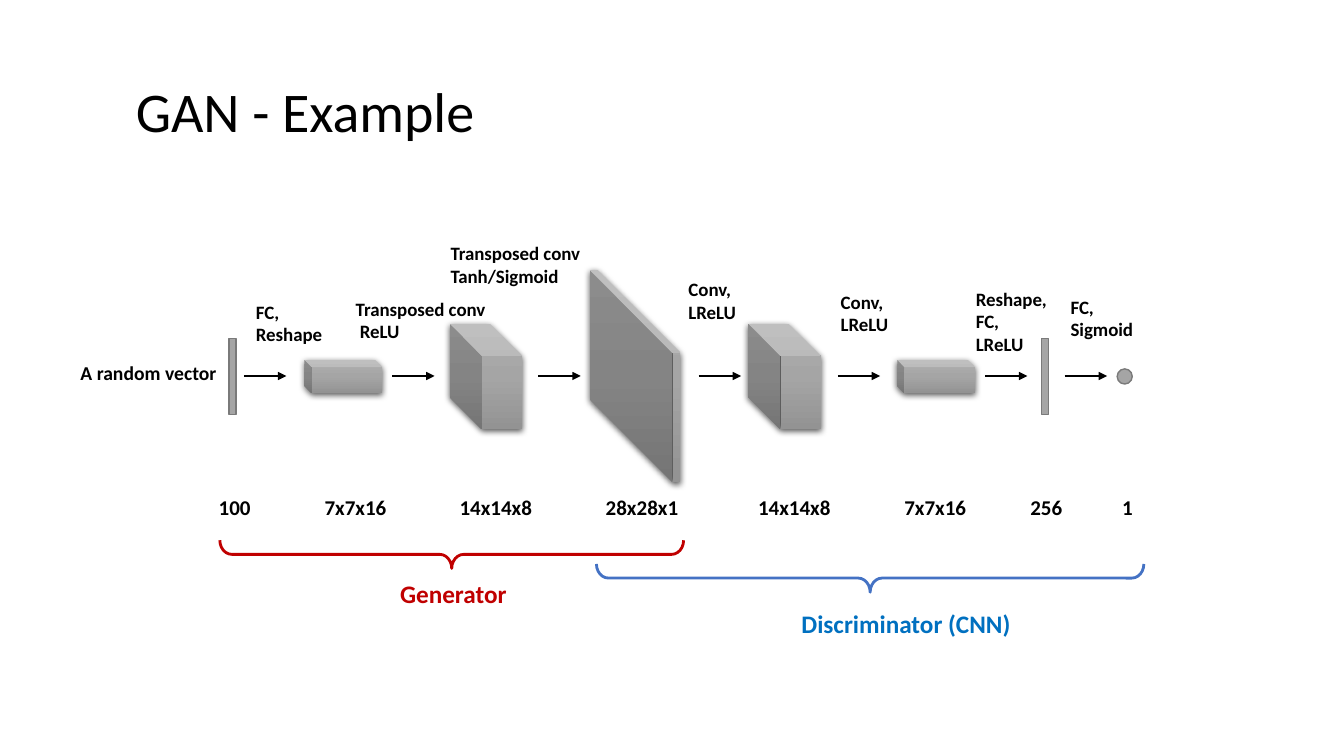
"""Build a slide that shows the layers of an example GAN."""
from pptx import Presentation
from pptx.dml.color import RGBColor
from pptx.enum.shapes import MSO_CONNECTOR, MSO_SHAPE
from pptx.enum.text import MSO_AUTO_SIZE, PP_ALIGN
from pptx.oxml import parse_xml
from pptx.oxml.ns import nsdecls
from pptx.util import Pt

PX = 9144
FONT = "Calibri"
BLACK = RGBColor(0x00, 0x00, 0x00)
GRAY = RGBColor(0xA5, 0xA5, 0xA5)
DARK_GRAY = RGBColor(0x7A, 0x7A, 0x7A)
RED = RGBColor(0xC0, 0x00, 0x00)
BLUE = RGBColor(0x00, 0x70, 0xC0)
BRACE_BLUE = RGBColor(0x44, 0x72, 0xC4)
CUBE, RECTANGLE, OVAL = MSO_SHAPE.CUBE, MSO_SHAPE.RECTANGLE, MSO_SHAPE.OVAL
RIGHT_BRACE, STRAIGHT = MSO_SHAPE.RIGHT_BRACE, MSO_CONNECTOR.STRAIGHT
LEFT, CENTER = PP_ALIGN.LEFT, PP_ALIGN.CENTER
GROW = MSO_AUTO_SIZE.SHAPE_TO_FIT_TEXT

AXIS = 373
ARROW_LENGTH = 42
ARROW_STARTS = [242, 389, 534, 693, 831, 977, 1056]
BRACE_HEIGHT = 28

# kind: (preset, width, height, depth)
KINDS = {
    "vector": (RECTANGLE, 7, 75, None),
    "7x7x16": (CUBE, 77, 33, 0.217),
    "14x14x8": (CUBE, 72, 105, 0.447),
    "28x28x1": (CUBE, 90, 210, 0.912),
    "output": (OVAL, 15, 15, None),
}
# (kind, left, size, size left, size width)
LAYERS = [
    ("vector", 227, "100", 207, 52),
    ("7x7x16", 302, "7x7x16", 312, 82),
    ("14x14x8", 446, "14x14x8", 446, 93),
    ("28x28x1", 585, "28x28x1", 591, 93),
    ("14x14x8", 742, "14x14x8", 742, 93),
    ("7x7x16", 890, "7x7x16", 887, 82),
    ("vector", 1033, "256", 1012, 52),
    ("output", 1108, "1", 1103, 32),
]
# (lines, left, top, width, indent of the last line)
OPERATIONS = [
    (["FC,", "Reshape"], 244, 293, 87, 0),
    (["Transposed conv", "ReLU"], 343, 290, 150, 4),
    (["Transposed conv", "Tanh/Sigmoid"], 437, 235, 150, 0),
    (["Conv,", "LReLU"], 673, 271, 68, 0),
    (["Conv,", "LReLU"], 824, 283, 68, 0),
    (["Reshape,", "FC,", "LReLU"], 958, 280, 96, 0),
    (["FC,", "Sigmoid"], 1052, 288, 83, 0),
]
# (name, brace left, top, width, brace colour, name left, top, width, name colour)
NETWORKS = [
    ("Discriminator (CNN)", 592, 560, 543, BRACE_BLUE, 785, 599, 229, BLUE),
    ("Generator", 218, 536, 460, RED, 387, 569, 127, RED),
]

GRADIENT = f"""<a:gradFill {nsdecls('a')} rotWithShape="1"><a:gsLst>
<a:gs pos="0"><a:srgbClr val="AFAFAF"/></a:gs>
<a:gs pos="50000"><a:srgbClr val="A5A5A5"/></a:gs>
<a:gs pos="100000"><a:srgbClr val="939393"/></a:gs>
</a:gsLst><a:lin ang="5400000" scaled="0"/></a:gradFill>"""
SHADOW = f"""<a:outerShdw {nsdecls('a')} blurRad="57150" dist="19050" dir="5400000"
algn="ctr" rotWithShape="0"><a:srgbClr val="000000"><a:alpha val="63000"/></a:srgbClr>
</a:outerShdw>"""


def add_text(page, lines, left, top, width, height, size, color=BLACK, bold=True,
             align=LEFT, wrap=False, last_indent=0):
    box = page.shapes.add_textbox(left * PX, top * PX, width * PX, height * PX)
    frame = box.text_frame
    frame.word_wrap = wrap
    frame.auto_size = GROW
    for index, line in enumerate(lines):
        para = frame.add_paragraph() if index else frame.paragraphs[0]
        para.alignment = align
        span = para.add_run()
        span.text = line
        span.font.name, span.font.size = FONT, Pt(size)
        span.font.bold, span.font.color.rgb = bold, color
    if last_indent:
        para._p.get_or_add_pPr().set("marL", str(last_indent * PX))


def add_preset(page, preset, left, top, width, height, line_color=None, line_width=1):
    shape = page.shapes.add_shape(preset, left * PX, top * PX, width * PX, height * PX)
    shape.shadow.inherit = False
    if line_color is None:
        shape.line.fill.background()
    else:
        shape.line.color.rgb = line_color
        shape.line.width = Pt(line_width)
    return shape


def add_layer(page, kind, left):
    preset, width, height, depth = KINDS[kind]
    top = AXIS - height // 2
    if preset != CUBE:
        shape = add_preset(page, preset, left, top, width, height, DARK_GRAY)
        shape.fill.solid()
        shape.fill.fore_color.rgb = GRAY
        return
    cube = add_preset(page, preset, left, top, width, height)
    cube.adjustments[0] = depth
    properties = cube._element.spPr
    properties.xfrm.set("flipH", "1")
    properties.prstGeom.addnext(parse_xml(GRADIENT))
    properties.effectLst.append(parse_xml(SHADOW))


def add_arrow(page, start):
    arrow = page.shapes.add_connector(
        STRAIGHT, start * PX, AXIS * PX, (start + ARROW_LENGTH) * PX, AXIS * PX)
    arrow.line.color.rgb = BLACK
    arrow.line.width = Pt(2)
    arrow.line._get_or_add_ln().append(
        parse_xml(f'<a:tailEnd {nsdecls("a")} type="triangle"/>'))
    arrow._element.spPr.append(parse_xml(f'<a:effectLst {nsdecls("a")}/>'))


def add_brace(page, left, top, width, color):
    shift = (width - BRACE_HEIGHT) / 2
    brace = add_preset(page, RIGHT_BRACE, int(left + shift), int(top - shift),
                       BRACE_HEIGHT, width, color, 2)
    brace.rotation = 90
    brace.adjustments[0] = 0.424
    brace.adjustments[1] = 0.5
    brace.fill.background()


def main():
    deck = Presentation()
    deck.slide_width, deck.slide_height = 1333 * PX, 750 * PX
    page = deck.slides.add_slide(deck.slide_layouts[6])
    add_text(page, ["GAN - Example"], 120, 71, 365, 77, size=40, bold=False,
             align=CENTER, wrap=True)
    for kind, left, size, size_left, size_width in LAYERS:
        add_layer(page, kind, left)
        add_text(page, [size], size_left, 486, size_width, 35, size=15)
    for start in ARROW_STARTS:
        add_arrow(page, start)
    for lines, left, top, width, indent in OPERATIONS:
        add_text(page, lines, left, top, width, 12 + 22 * len(lines), size=13.5,
                 last_indent=indent)
    for name, left, top, width, color, name_left, name_top, name_width, name_color in NETWORKS:
        add_brace(page, left, top, width, color)
        add_text(page, [name], name_left, name_top, name_width, 40, size=18, color=name_color)
    add_text(page, ["A random vector"], 70, 353, 167, 34, size=14, wrap=True)
    deck.save("out.pptx")


if __name__ == "__main__":
    main()
